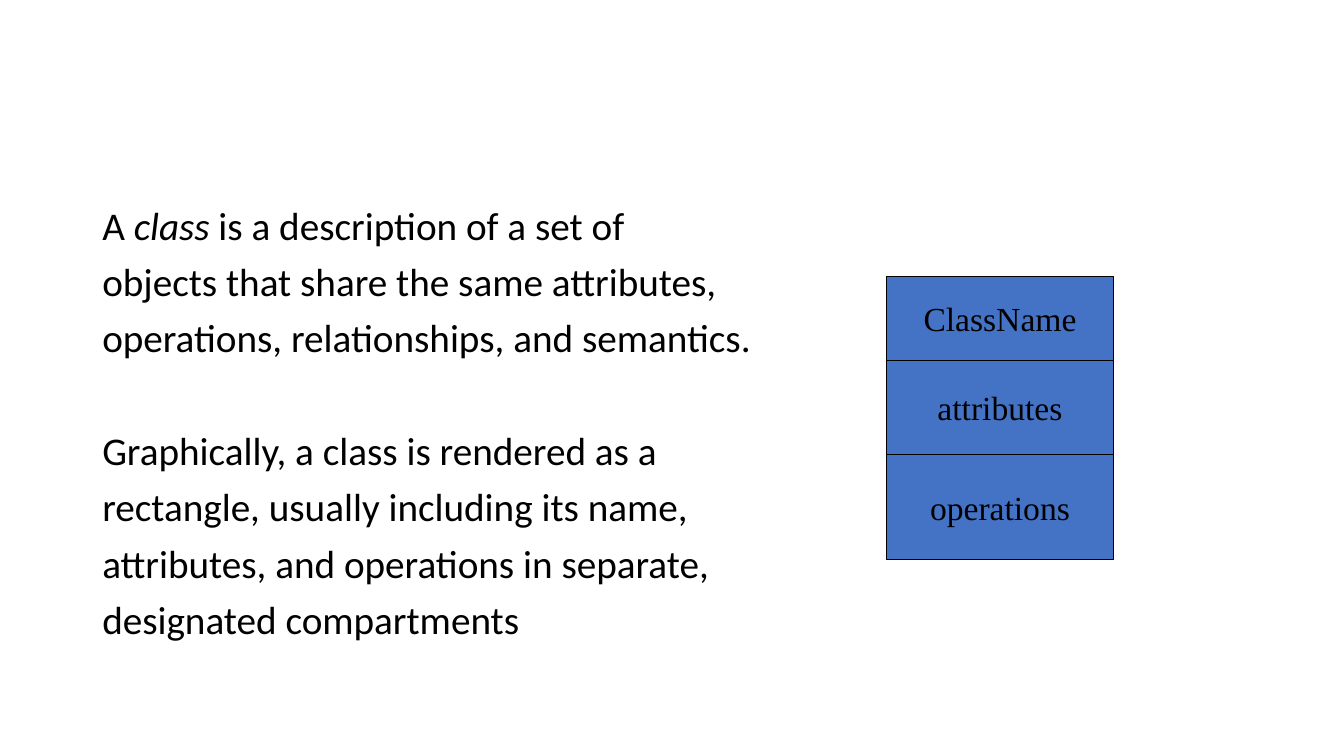
from pptx import Presentation
from pptx.dml.color import RGBColor
from pptx.enum.shapes import MSO_SHAPE
from pptx.enum.text import MSO_ANCHOR, PP_ALIGN
from pptx.util import Pt

BLACK = "000000"
BLUE = "4472C4"
LINE_GAP = 10
STATEMENT_GAP = 50.2

# Each statement is a list of lines; each line is a list of (text, italic) spans
STATEMENTS = [
    [
        [("A ", False), ("class", True), (" is a description of a set of", False)],
        [("objects that share the same attributes,", False)],
        [("operations, relationships, and semantics.", False)],
    ],
    [
        [("Graphically, a class is rendered as a", False)],
        [("rectangle, usually including its name,", False)],
        [("attributes, and operations in separate,", False)],
        [("designated compartments", False)],
    ],
]
COMPARTMENTS = [("ClassName", 60), ("attributes", 67.5), ("operations", 75)]


def colour(code):
    return RGBColor.from_string(code)


def add_text(para, text, font="Calibri", size=28, code=BLACK, italic=False):
    span = para.add_run()
    span.text = text
    span.font.name = font
    span.font.size = Pt(size)
    span.font.italic = italic
    span.font.color.rgb = colour(code)


def add_definition(page, left, top, width, height):
    box = page.shapes.add_textbox(Pt(left), Pt(top), Pt(width), Pt(height))
    frame = box.text_frame
    frame.word_wrap = True
    para = frame.paragraphs[0]
    for statement_index, statement in enumerate(STATEMENTS):
        for line_index, line in enumerate(statement):
            if statement_index or line_index:
                para = frame.add_paragraph()
            starts_later_statement = statement_index and not line_index
            para.space_before = Pt(STATEMENT_GAP if starts_later_statement else LINE_GAP)
            para.line_spacing = 0.9
            for text, italic in line:
                add_text(para, text, italic=italic)


def add_class_diagram(page, left, top, width):
    group = page.shapes.add_group_shape()
    for label, height in COMPARTMENTS:
        box = group.shapes.add_shape(
            MSO_SHAPE.RECTANGLE, Pt(left), Pt(top), Pt(width), Pt(height))
        box.shadow.inherit = False
        box.fill.solid()
        box.fill.fore_color.rgb = colour(BLUE)
        box.line.color.rgb = colour(BLACK)
        box.line.width = Pt(0.75)
        frame = box.text_frame
        frame.word_wrap = False
        frame.vertical_anchor = MSO_ANCHOR.MIDDLE
        para = frame.paragraphs[0]
        para.alignment = PP_ALIGN.CENTER
        add_text(para, label, font="Times New Roman", size=24)
        top += height


# Deck and page
deck = Presentation()
deck.slide_width, deck.slide_height = Pt(960), Pt(540)
page = deck.slides.add_slide(deck.slide_layouts[6])

# Definition on the left, class notation on the right
add_definition(page, left=66, top=143.75, width=828, height=342.6)
add_class_diagram(page, left=633.3, top=197.3, width=162)

deck.save("out.pptx")
